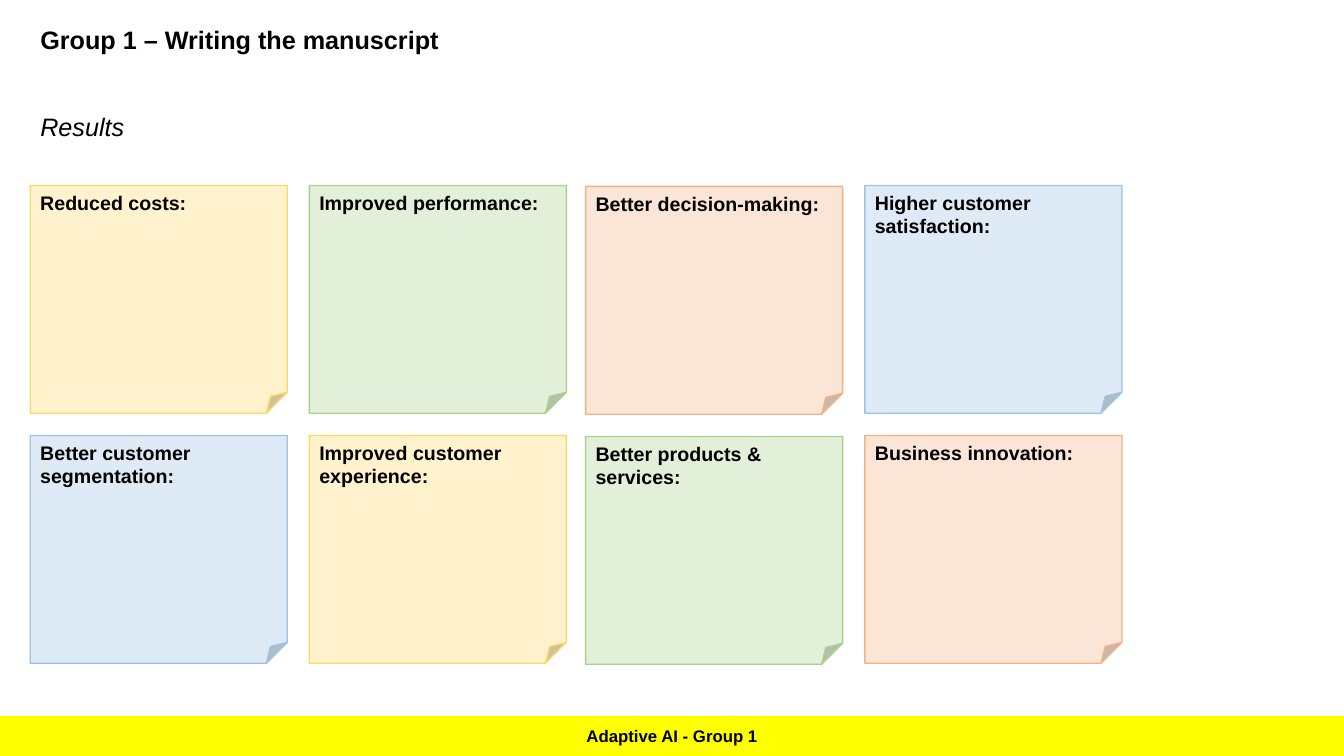
"""Build the results slide: a wall of eight sticky notes for the manuscript of Group 1."""
from dataclasses import dataclass

from lxml.etree import SubElement
from pptx import Presentation
from pptx.dml.color import RGBColor as Rgb
from pptx.enum.shapes import MSO_SHAPE as Preset
from pptx.enum.text import MSO_ANCHOR as Anchor, MSO_AUTO_SIZE as AutoSize, PP_ALIGN as Align
from pptx.oxml.ns import qn
from pptx.shapes.autoshape import Shape
from pptx.slide import Slide
from pptx.text.text import TextFrame
from pptx.util import Pt


@dataclass(frozen=True)
class Paper:
    fill: str
    edge: str


@dataclass(frozen=True)
class Theme:
    font: str = "Arial"
    ink: str = "000000"
    banner: str = "FFFF00"
    heading_size: int = 18
    note_size: int = 14
    banner_size: int = 12
    papers: tuple[Paper, ...] = (
        Paper("FFF2CC", "FFD966"),
        Paper("E2F0D9", "A9D18E"),
        Paper("FBE5D6", "F4B183"),
        Paper("DEEBF7", "9DC3E6"),
    )


@dataclass(frozen=True)
class Box:
    left: float
    top: float
    width: float
    height: float


@dataclass(frozen=True)
class Column:
    left: float
    drop: float = 0


THEME = Theme()
SLIDE_WIDTH, SLIDE_HEIGHT = 960, 540
MARGIN = 21.6
BANNER_HEIGHT = 28.4
NOTE_WIDTH, NOTE_HEIGHT = 183.6, 162.7
FIRST_ROW_TOP, ROW_PITCH = 132.5, 178.6
FOLD = 9200
COLUMNS = (Column(MARGIN), Column(221), Column(418.3, 0.7), Column(617.8))
RESULTS = (
    ("Reduced costs:", "Improved performance:",
     "Better decision-making:", "Higher customer satisfaction:"),
    ("Better customer segmentation:", "Improved customer experience:",
     "Better products & services:", "Business innovation:"),
)


def place(shape: Shape, box: Box) -> None:
    """Move and size a shape."""
    shape.left, shape.top = Pt(box.left), Pt(box.top)
    shape.width, shape.height = Pt(box.width), Pt(box.height)


def write(frame: TextFrame, wording: str, size: int, bold: bool = False, italic: bool = False,
          align: Align = Align.LEFT, anchor: Anchor = Anchor.TOP) -> None:
    """Set one formatted paragraph in a text frame."""
    frame.text = wording
    frame.word_wrap = True
    frame.auto_size = AutoSize.NONE
    frame.vertical_anchor = anchor
    paragraph = frame.paragraphs[0]
    paragraph.alignment = align
    paragraph.space_before = Pt(0)
    for run in paragraph.runs:
        run.font.name = THEME.font
        run.font.size = Pt(size)
        run.font.bold, run.font.italic = bold, italic
        run.font.color.rgb = Rgb.from_string(THEME.ink)


def remove_bullet(frame: TextFrame) -> None:
    """Drop the bullet and its hanging indent from the first paragraph."""
    properties = frame.paragraphs[0]._p.get_or_add_pPr()
    properties.set("marL", "0")
    properties.set("indent", "0")
    SubElement(properties, qn("a:buNone"))


def set_fold(note: Shape) -> None:
    """Set the size of the folded corner."""
    guides = next(note._element.iter(qn("a:avLst")))
    for guide in list(guides):
        guides.remove(guide)
    SubElement(guides, qn("a:gd"), name="adj", fmla=f"val {FOLD}")


def add_panel(slide: Slide, preset: Preset, box: Box, fill: str) -> Shape:
    """Add a flat filled shape without an outline."""
    panel = slide.shapes.add_shape(
        preset, Pt(box.left), Pt(box.top), Pt(box.width), Pt(box.height))
    panel.shadow.inherit = False
    panel.fill.solid()
    panel.fill.fore_color.rgb = Rgb.from_string(fill)
    panel.line.fill.background()
    return panel


def add_note(slide: Slide, box: Box, paper: Paper, result: str) -> None:
    """Add a sticky note headed by a result."""
    note = add_panel(slide, Preset.FOLDED_CORNER, box, paper.fill)
    set_fold(note)
    note.line.color.rgb = Rgb.from_string(paper.edge)
    note.line.width = Pt(1)
    write(note.text_frame, result, THEME.note_size, bold=True)


def main() -> None:
    """Build and save the slide."""
    deck = Presentation()
    deck.slide_width, deck.slide_height = Pt(SLIDE_WIDTH), Pt(SLIDE_HEIGHT)
    slide = deck.slides.add_slide(deck.slide_layouts[1])

    banner = add_panel(
        slide, Preset.RECTANGLE,
        Box(0, SLIDE_HEIGHT - BANNER_HEIGHT, SLIDE_WIDTH, BANNER_HEIGHT), THEME.banner)
    write(banner.text_frame, "Adaptive AI - Group 1", THEME.banner_size, bold=True,
          align=Align.CENTER, anchor=Anchor.MIDDLE)

    title = slide.shapes.title
    place(title, Box(MARGIN, 13.7, 480, 29))
    write(title.text_frame, "Group 1 – Writing the manuscript", THEME.heading_size, bold=True)

    section = slide.placeholders[1]
    place(section, Box(MARGIN, 75.6, 918.7, 29))
    write(section.text_frame, "Results", THEME.heading_size, italic=True)
    remove_bullet(section.text_frame)

    for row, results in enumerate(RESULTS):
        for index, (column, result) in enumerate(zip(COLUMNS, results)):
            top = FIRST_ROW_TOP + row * ROW_PITCH + column.drop
            paper = THEME.papers[(index - row) % len(THEME.papers)]
            add_note(slide, Box(column.left, top, NOTE_WIDTH, NOTE_HEIGHT), paper, result)

    deck.save("out.pptx")


if __name__ == "__main__":
    main()
